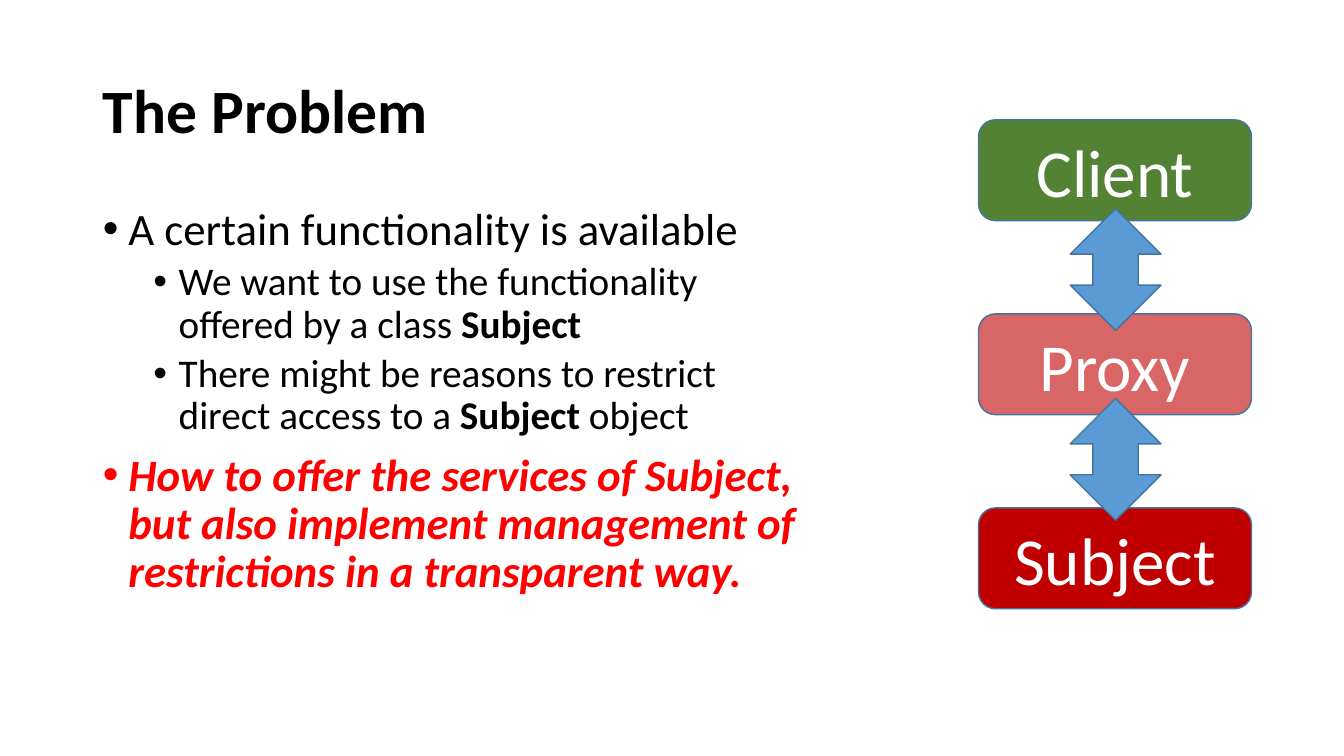
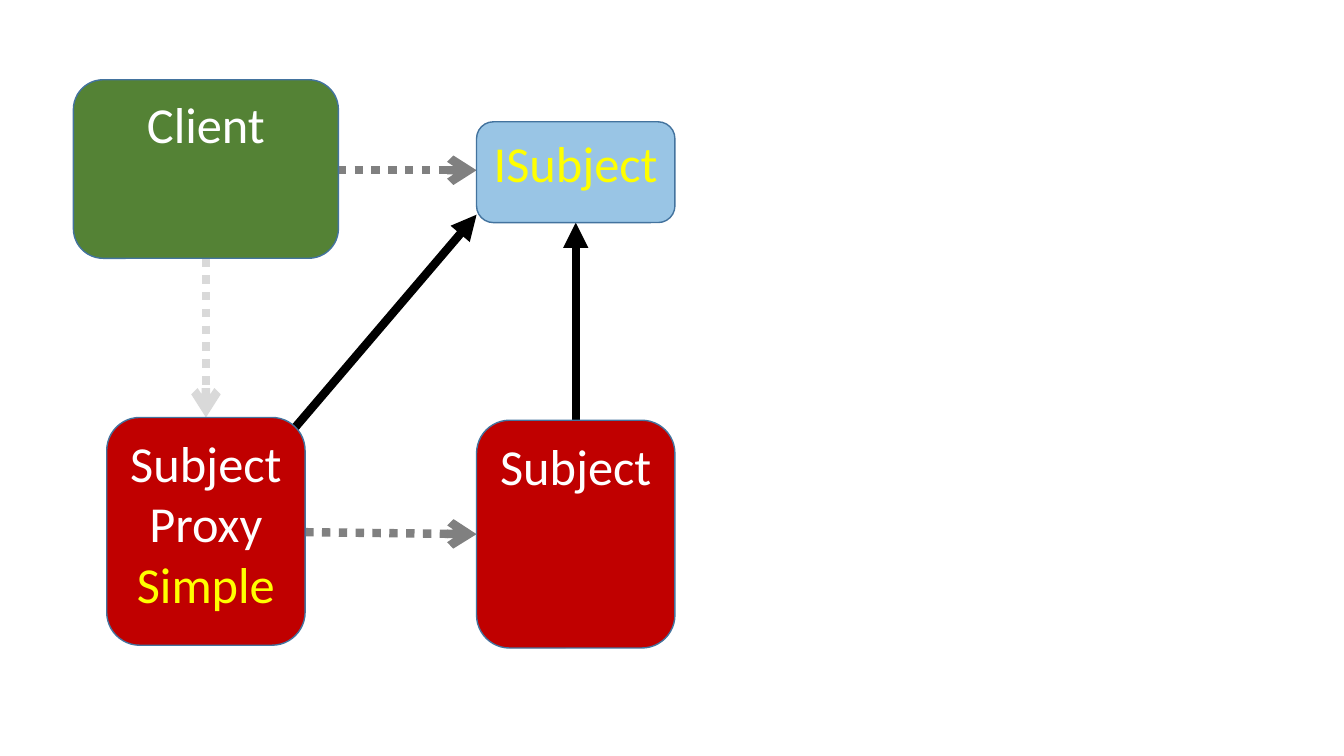
import pptx
import pptx.util
import pptx.dml.color
import pptx.enum.dml
import pptx.enum.shapes
import pptx.enum.text
import pptx.oxml.ns
from lxml import etree

Cm, Pt = pptx.util.Cm, pptx.util.Pt
RGB = pptx.dml.color.RGBColor.from_string
Kind = pptx.enum.shapes.MSO_SHAPE
Anchor = pptx.enum.text.MSO_ANCHOR
Align = pptx.enum.text.PP_ALIGN
qn = pptx.oxml.ns.qn


class Theme:
    font = "Calibri"
    black, white = "000000", "FFFFFF"
    red, yellow = "FF0000", "FFFF00"
    green, wine = "548235", "C00000"
    sky, blue, edge = "0070C0", "5B9BD5", "43739E"
    gray, pale = "808080", "D9D9D9"
    title, body, sub = 44, 32, 28
    large, small = 48, 36
    thin, thick = 1, 6


def write(para, text, size, color, bold=False, italic=False):
    run = para.add_run()
    run.text = text
    font = run.font
    font.name, font.size = Theme.font, Pt(size)
    font.bold, font.italic = bold, italic
    font.color.rgb = RGB(color)


def draw(slide, kind, place, fill, lines=(), size=Theme.small,
         anchor=Anchor.TOP, alpha=None):
    """Add an outlined shape; lines holds (text, color), alpha is a percentage."""
    shape = slide.shapes.add_shape(kind, *[Cm(n) for n in place])
    shape.shadow.inherit = False
    shape.fill.solid()
    shape.fill.fore_color.rgb = RGB(fill)
    if alpha:
        tint = shape.fill._xPr.find(".//" + qn("a:srgbClr"))
        etree.SubElement(tint, qn("a:alpha"), val=str(alpha * 1000))
    shape.line.color.rgb = RGB(Theme.edge)
    shape.line.width = Pt(Theme.thin)
    frame = shape.text_frame
    frame.vertical_anchor = anchor
    for i, (text, color) in enumerate(lines):
        para = frame.add_paragraph() if i else frame.paragraphs[0]
        para.alignment = Align.CENTER
        write(para, text, size, color)


deck = pptx.Presentation()
deck.slide_width, deck.slide_height = Cm(33.87), Cm(19.05)

# Slide 1: the problem
slide = deck.slides.add_slide(deck.slide_layouts[1])
title, body = slide.placeholders
for holder, place in ((title, (2.34, 1.02, 29.21, 3.68)),
                      (body, (2.34, 5.08, 18.36, 12.09))):
    holder.left, holder.top, holder.width, holder.height = [Cm(n) for n in place]
    holder.text_frame.auto_size = pptx.enum.text.MSO_AUTO_SIZE.NONE

title.text_frame.vertical_anchor = Anchor.MIDDLE
para = title.text_frame.paragraphs[0]
para.alignment, para.line_spacing = Align.LEFT, 0.9
write(para, "The Problem", Theme.title, Theme.black, bold=True)

# Each point: level, color, italic, runs of (text, bold)
points = [
    (0, Theme.black, False, [("A certain functionality is available", False)]),
    (1, Theme.black, False, [
        ("We want to use the functionality offered by a class ", False),
        ("Subject", True)]),
    (1, Theme.black, False, [
        ("There might be reasons to restrict direct access to a ", False),
        ("Subject", True), (" object", False)]),
    (0, Theme.red, True, [
        ("How to offer the services of Subject, but also implement "
         "management of restrictions in a transparent way.", True)]),
]
frame = body.text_frame
for i, (level, color, italic, runs) in enumerate(points):
    para = frame.add_paragraph() if i else frame.paragraphs[0]
    para.level, para.line_spacing = level, 0.9
    para.space_before = Pt((5 if level else 10) if i else 0)
    props = para._p.get_or_add_pPr()
    props.set("marL", str(Cm(1.91 if level else 0.64)))
    props.set("indent", str(Cm(-0.64)))
    etree.SubElement(props, qn("a:buFont"), typeface="Arial")
    etree.SubElement(props, qn("a:buChar"), char="•")
    for text, bold in runs:
        write(para, text, Theme.sub if level else Theme.body, color, bold, italic)

stack = [("Client", Theme.green, None), ("Proxy", Theme.wine, 60),
         ("Subject", Theme.wine, None)]
for i, (name, fill, alpha) in enumerate(stack):
    draw(slide, Kind.ROUNDED_RECTANGLE, (24.66, 3.02 + 4.89 * i, 6.88, 2.54), fill,
         [(name, Theme.white)], Theme.large, Anchor.MIDDLE, alpha)
for i in range(len(stack) - 1):
    draw(slide, Kind.UP_DOWN_ARROW, (26.97, 5.26 + 4.78 * i, 2.29, 3.07), Theme.blue)

# Slide 2: the class diagram
slide = deck.slides.add_slide(deck.slide_layouts[6])
nodes = [
    ((1.85, 2.01, 6.68, 4.5), Theme.green, None, [("Client", Theme.white)]),
    ((12.01, 10.59, 5, 5.74), Theme.wine, None, [("Subject", Theme.white)]),
    ((12.01, 3.07, 5, 2.54), Theme.sky, 40, [("ISubject", Theme.yellow)]),
    ((2.69, 10.52, 5, 5.74), Theme.wine, None, [
        ("Subject", Theme.white), ("Proxy", Theme.white), ("Simple", Theme.yellow)]),
]
# Each link: ends, color, whether it is a dotted use or a solid inheritance
links = [
    ((8.51, 4.29, 12.01, 4.29), Theme.gray, True),
    ((14.51, 10.59, 14.51, 5.61), Theme.black, False),
    ((7.37, 10.85, 12.01, 5.41), Theme.black, False),
    ((7.69, 13.41, 12.01, 13.46), Theme.gray, True),
    ((5.19, 6.51, 5.19, 10.52), Theme.pale, True),
]
for ends, color, dotted in links:
    link = slide.shapes.add_connector(pptx.enum.shapes.MSO_CONNECTOR.STRAIGHT,
                                      *[Cm(n) for n in ends])
    link.line.color.rgb = RGB(color)
    link.line.width = Pt(Theme.thick)
    if dotted:
        # ROUND_DOT is the sysDot preset
        link.line.dash_style = pptx.enum.dml.MSO_LINE.ROUND_DOT
    etree.SubElement(link.line._get_or_add_ln(), qn("a:tailEnd"),
                     type="arrow" if dotted else "triangle")
    etree.SubElement(link._element.spPr, qn("a:effectLst"))
for place, fill, alpha, lines in nodes:
    draw(slide, Kind.ROUNDED_RECTANGLE, place, fill, lines, alpha=alpha)

deck.save("out.pptx")
